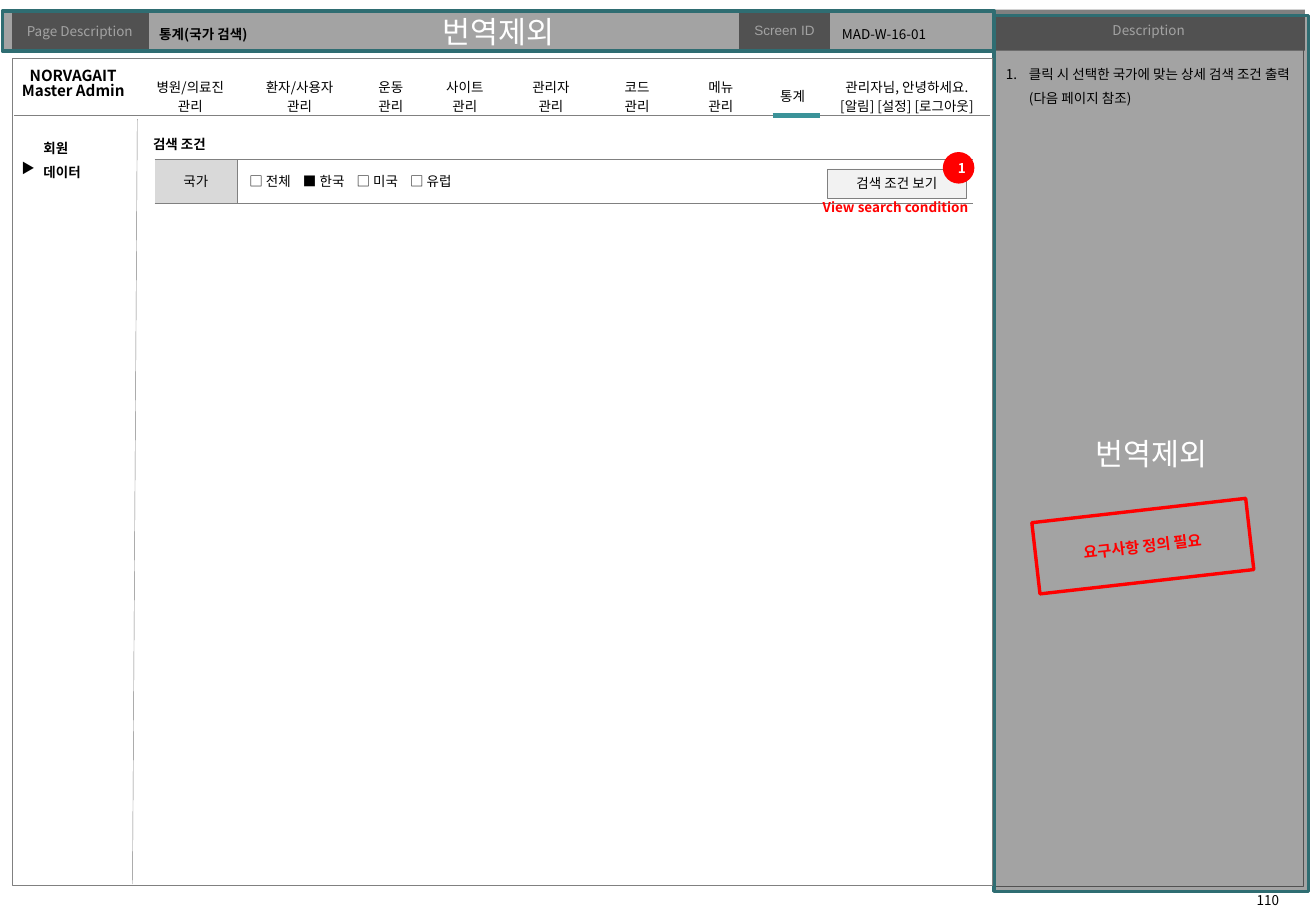
import dataclasses
import typing

import lxml.etree
import pptx
import pptx.dml.color
import pptx.enum.shapes
import pptx.enum.text
import pptx.oxml
import pptx.oxml.ns
import pptx.util

Cm = pptx.util.Cm
Pt = pptx.util.Pt
qn = pptx.oxml.ns.qn
Align = pptx.enum.text.PP_ALIGN
Anchor = pptx.enum.text.MSO_ANCHOR
Shape = pptx.enum.shapes.MSO_SHAPE


@dataclasses.dataclass(frozen=True)
class Theme:
    """Colours, fonts and sizes of the slide."""
    black: str = "000000"
    white: str = "FFFFFF"
    grey: str = "808080"
    label: str = "D9D9D9"
    button: str = "F2F2F2"
    frame: str = "2F6D72"
    active: str = "3B9399"
    red: str = "FF0000"
    veil: int = 36000
    font: str = "Noto Sans CJK KR"
    latin: str = "Arial"
    body: float = 8
    strong: float = 9
    large: float = 18
    hair: float = 0.25
    thick: float = 2
    bar: float = 3


class Box(typing.NamedTuple):
    """A rectangle in centimetres."""
    left: float
    top: float
    width: float
    height: float

    def inner(self, left, top, width, height):
        """Return a rectangle placed relative to this one."""
        return Box(self.left + left, self.top + top, width, height)

    def lengths(self):
        """Return the four values as lengths."""
        return [Cm(value) for value in self]


THEME = Theme()


def rgb(code):
    """Turn a hex code into a colour."""
    return pptx.dml.color.RGBColor.from_string(code)


def write(frame, text, size=THEME.body, color=THEME.black, bold=False, align=Align.LEFT, spacing=None):
    """Set the text of a frame and format its runs."""
    frame.text = text
    for para in frame.paragraphs:
        para.alignment = align
        if spacing:
            para.line_spacing = spacing
        for span in para.runs:
            span.font.name = THEME.font
            span.font.size = Pt(size)
            span.font.bold = bold
            span.font.color.rgb = rgb(color)
            east = lxml.etree.SubElement(span.font._element, qn("a:ea"))
            east.set("typeface", THEME.font)
        if not para.runs:
            lxml.etree.SubElement(para._p, qn("a:endParaRPr")).set("sz", str(int(size * 100)))


def add_text(page, box, text, wrap=True, anchor=Anchor.TOP, inset=None, **style):
    """Place a text box."""
    frame = page.shapes.add_textbox(*box.lengths()).text_frame
    frame.word_wrap = wrap
    frame.vertical_anchor = anchor
    if inset is not None:
        frame.margin_left = frame.margin_right = frame.margin_top = frame.margin_bottom = Cm(inset)
    write(frame, text, **style)
    return frame


def add_panel(page, box, text="", fill=None, line=None, width=THEME.hair, kind=Shape.RECTANGLE, **style):
    """Place a preset shape with centred text."""
    shape = page.shapes.add_shape(kind, *box.lengths())
    shape.shadow.inherit = False
    if fill:
        shape.fill.solid()
        shape.fill.fore_color.rgb = rgb(fill)
    else:
        shape.fill.background()
    if line:
        shape.line.color.rgb = rgb(line)
        shape.line.width = Pt(width)
    else:
        shape.line.fill.background()
    shape.text_frame.vertical_anchor = Anchor.MIDDLE
    write(shape.text_frame, text, align=Align.CENTER, **style)
    return shape


def add_veil(page, box):
    """Place a translucent cover marking an area left untranslated."""
    shape = add_panel(page, box, "번역제외", fill=THEME.black, line=THEME.frame,
                      width=THEME.thick, size=THEME.large, color=THEME.white)
    color = shape._element.spPr.find(qn("a:solidFill"))[0]
    lxml.etree.SubElement(color, qn("a:alpha")).set("val", str(THEME.veil))


def add_rule(page, box, start, end, color=THEME.grey, width=THEME.hair):
    """Draw a straight line between two points of a box."""
    points = [Cm(box.left + start[0]), Cm(box.top + start[1]), Cm(box.left + end[0]), Cm(box.top + end[1])]
    rule = page.shapes.add_connector(pptx.enum.shapes.MSO_CONNECTOR.STRAIGHT, *points)
    rule.line.color.rgb = rgb(color)
    rule.line.width = Pt(width)
    lxml.etree.SubElement(rule._element.spPr, qn("a:effectLst"))


def add_grid(page, box, widths, texts, fills, borders, inset=None, **style):
    """Place a one-row table; borders names the ruled sides of each cell."""
    table = page.shapes.add_table(1, len(widths), *box.lengths()).table
    table.first_row = table.horz_banding = False
    table._tbl.tblPr.find(qn("a:tableStyleId")).text = "{2D5ABB26-0587-4C30-8999-92F81FD0307C}"
    for column, width in zip(table.columns, widths):
        column.width = Cm(width)
    for cell, text, fill, sides in zip(table.rows[0].cells, texts, fills, borders):
        cell.vertical_anchor = Anchor.MIDDLE
        if inset is not None:
            cell.margin_left = cell.margin_right = cell.margin_top = cell.margin_bottom = Cm(inset)
        write(cell.text_frame, text, align=Align.CENTER, **style)
        for side in sides:
            edge = lxml.etree.SubElement(cell._tc.get_or_add_tcPr(), qn("a:ln" + side))
            edge.set("w", str(int(Pt(THEME.hair))))
            paint = lxml.etree.SubElement(edge, qn("a:solidFill"))
            lxml.etree.SubElement(paint, qn("a:srgbClr")).set("val", THEME.grey)
        if fill:
            cell.fill.solid()
            cell.fill.fore_color.rgb = rgb(fill)
        else:
            cell.fill.background()
    return table


def draw_header(page, box):
    """Draw the page title strip."""
    table = add_grid(page, box, [2.84, 12.37, 1.88, 3.43], ["Page Description", "", "Screen ID", ""],
                     [THEME.grey, THEME.white] * 2, ["LRTB"] * 4, inset=0.1, color=THEME.white)
    table.cell(0, 2).text_frame.paragraphs[0].runs[0].font.name = THEME.latin
    add_veil(page, box.inner(-0.2, 0, 20.73, 0.84))
    title = add_text(page, box.inner(2.98, 0.1, 12.73, 0.76), "통계(국가 검색)", anchor=Anchor.MIDDLE, bold=True)
    title.margin_left = title.margin_right = Cm(0.1)
    add_text(page, box.inner(17.1, 0.1, 3.3, 0.76), "MAD-W-16-01",
             anchor=Anchor.MIDDLE).paragraphs[0].space_before = Pt(1.6)


def draw_menu(page, box):
    """Draw the screen frame with the brand and the top menu."""
    add_panel(page, box, line=THEME.grey)
    add_rule(page, box, (0.05, 1.19), (20.45, 1.19))
    managed = ["병원/의료진", "환자/사용자", "운동", "사이트", "관리자", "코드", "메뉴"]
    entries = [name + "\n관리" for name in managed]
    entries += ["통계", "관리자님, 안녕하세요.\n[알림] [설정] [로그아웃]"]
    widths = [2.16, 2.41, 1.4, 1.7, 1.9, 1.7, 1.8, 1.2, 3.58]
    add_grid(page, box.inner(2.65, 0.15, 17.85, 1.04), widths, entries,
             [None] * len(widths), [""] * len(widths))
    add_text(page, box.inner(-0.22, 0.1, 3, 1.02), "NORVAGAIT\nMaster Admin",
             size=THEME.strong, bold=True, align=Align.CENTER, spacing=0.82)
    add_rule(page, box, (15.9, 1.19), (16.9, 1.19), THEME.active, THEME.bar)


def draw_sidebar(page, box):
    """Draw the side menu with its current entry marked."""
    add_rule(page, box, (box.width, 0), (box.width - 0.1, box.height))
    add_text(page, box.inner(0.41, 0.15, 1.37, 1.27), "회원\n데이터", wrap=False, bold=True, spacing=1.5)
    add_text(page, box.inner(-0.05, 0.74, 0.79, 0.61), "▶", wrap=False)


def draw_search(page, box):
    """Draw the search condition row and its button."""
    add_text(page, box.inner(0, 0, 1.75, 0.61), "검색 조건", wrap=False, bold=True)
    countries = "\t".join(["□ 전체", "■ 한국", "□ 미국", "□ 유럽"])
    table = add_grid(page, box.inner(0.28, 0.61, 17.12, 0.91), [1.73, 15.39], ["국가", countries],
                     [THEME.label, None], ["RTB", "LTB"])
    choices = table.cell(0, 1).text_frame.paragraphs[0]
    choices.alignment = Align.LEFT
    stops = lxml.etree.SubElement(choices._p.get_or_add_pPr(), qn("a:tabLst"))
    for index in range(1, 4):
        stop = lxml.etree.SubElement(stops, qn("a:tab"))
        stop.set("pos", str(int(Cm(1.12 * index))))
        stop.set("algn", "l")
    add_panel(page, box.inner(14.35, 0.81, 2.9, 0.61), "검색 조건 보기", fill=THEME.button, line=THEME.grey)
    add_panel(page, box.inner(16.76, 0.46, 0.66, 0.66), "1", fill=THEME.red,
              kind=Shape.OVAL, color=THEME.white, bold=True)
    add_text(page, box.inner(13.92, 1.45, 3.71, 0.33), "View search condition", inset=0,
             color=THEME.red, bold=True, align=Align.CENTER)


def draw_description(page, box):
    """Draw the description column with its note, stamp and page number."""
    add_panel(page, box.inner(0, 0.79, 6.5, 17.55), line=THEME.grey)
    add_panel(page, box.inner(0, 0, box.width, 0.86), "Description", fill=THEME.grey, color=THEME.white)
    add_veil(page, box.inner(0.03, 0.13, 6.58, 18.31))
    note = add_text(page, box.inner(0.03, 0.89, 6.48, 17.53),
                    "클릭 시 선택한 국가에 맞는 상세 검색 조건 출력(다음 페이지 참조)", spacing=1.5).paragraphs[0]
    note.space_before = Pt(1.6)
    layout = note._p.get_or_add_pPr()
    layout.set("marL", str(int(Cm(0.48))))
    layout.set("indent", str(int(Cm(-0.48))))
    lxml.etree.SubElement(layout, qn("a:buAutoNum")).set("type", "arabicPeriod")
    stamp = add_panel(page, box.inner(0.89, 10.47, 4.5, 1.5), "요구사항 정의 필요", line=THEME.red,
                      width=THEME.thick, size=THEME.strong, color=THEME.red, bold=True)
    stamp.rotation = 353.5
    add_text(page, box.inner(4.7, 18.32, 2.11, 0.51), "110", align=Align.CENTER)


def main():
    """Build the slide and save it."""
    deck = pptx.Presentation()
    deck.slide_width, deck.slide_height = Cm(27.51), Cm(19.05)
    page = deck.slides.add_slide(deck.slide_layouts[6])
    draw_description(page, Box(20.75, 0.2, 6.53, 18.35))
    draw_header(page, Box(0.25, 0.23, 20.52, 0.81))
    draw_menu(page, Box(0.25, 1.22, 20.5, 17.3))
    draw_sidebar(page, Box(0.25, 2.49, 2.62, 16))
    draw_search(page, Box(2.95, 2.72, 17.4, 1.78))
    deck.save("out.pptx")


if __name__ == "__main__":
    main()
